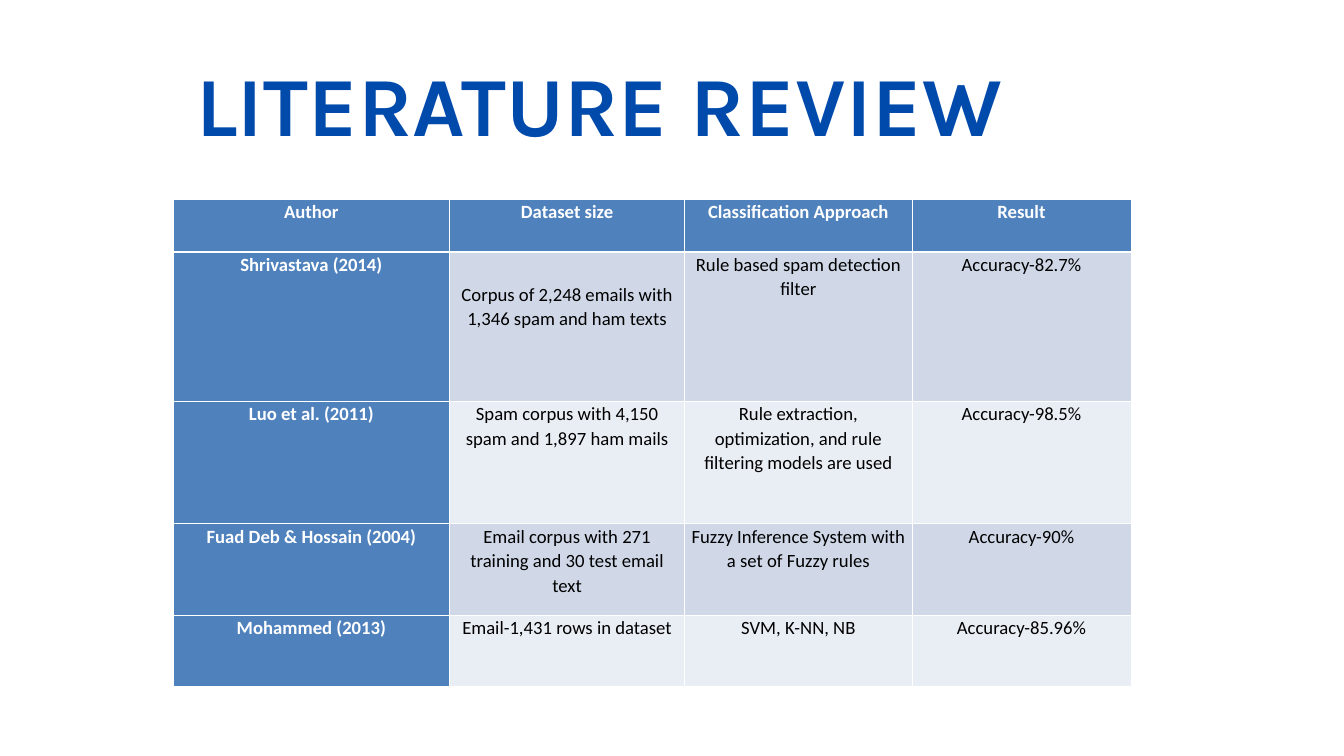
import pptx
import pptx.util
import pptx.dml.color
import pptx.enum.text
import lxml.etree
from dataclasses import dataclass
from pptx.oxml.ns import qn


@dataclass(frozen=True)
class Theme:
    title_font: str = "Karla"
    body_font: str = "Calibri"
    title_size: int = 90
    body_size: int = 20
    title: str = "004AAC"
    header: str = "4F81BD"
    odd_row: str = "D0D8E8"
    even_row: str = "E9EDF4"
    white: str = "FFFFFF"
    black: str = "000000"


theme = Theme()
Cm = pptx.util.Cm
Pt = pptx.util.Pt


def format_font(font, name, size, color, bold):
    font.name = name
    font.size = Pt(size)
    font.bold = bold
    font.color.rgb = pptx.dml.color.RGBColor.from_string(color)


def add_border(cell, side, width):
    properties = cell._tc.get_or_add_tcPr()
    line = lxml.etree.SubElement(properties, qn(f"a:ln{side}"), w=str(Pt(width)))
    fill = lxml.etree.SubElement(line, qn("a:solidFill"))
    lxml.etree.SubElement(fill, qn("a:srgbClr"), val=theme.white)


presentation = pptx.Presentation()
presentation.slide_width = Cm(50.8)
presentation.slide_height = Cm(28.58)
slide = presentation.slides.add_slide(presentation.slide_layouts[5])

title = slide.shapes.title
title.left, title.top, title.width, title.height = Cm(7.42), Cm(1.96), Cm(34.54), Cm(3.89)
frame = title.text_frame
frame.margin_left = frame.margin_right = frame.margin_bottom = 0
frame.margin_top = Cm(0.03)
frame.word_wrap = True
frame.vertical_anchor = pptx.enum.text.MSO_ANCHOR.TOP
frame.auto_size = pptx.enum.text.MSO_AUTO_SIZE.SHAPE_TO_FIT_TEXT
paragraph = frame.paragraphs[0]
paragraph.alignment = pptx.enum.text.PP_ALIGN.LEFT
format_font(paragraph.font, theme.title_font, theme.title_size, theme.title, True)
for text, spacing in (("LITERATURE ", 30), ("REVIEW", 80)):
    run = paragraph.add_run()
    run.text = text
    run._r.get_or_add_rPr().set("spc", str(spacing))

studies = [
    ("Author", "Dataset size", "Classification Approach", "Result"),
    ("Shrivastava (2014)", "Corpus of 2,248 emails with 1,346 spam and ham texts",
     "Rule based spam detection ﬁlter", "Accuracy-82.7%"),
    ("Luo et al. (2011)", "Spam corpus with 4,150 spam and 1,897 ham mails",
     "Rule extraction, optimization, and rule ﬁltering models are used", "Accuracy-98.5%"),
    ("Fuad Deb & Hossain (2004)", "Email corpus with 271 training and 30 test email text",
     "Fuzzy Inference System with a set of Fuzzy rules", "Accuracy-90%"),
    ("Mohammed (2013)", "Email-1,431 rows in dataset", "SVM, K-NN, NB", "Accuracy-85.96%"),
]
column_widths = [10.44, 8.89, 8.59, 8.28]
row_heights = [2.0, 5.66, 4.62, 3.45, 2.69]

table = slide.shapes.add_table(
    len(row_heights), len(column_widths), Cm(6.55), Cm(7.52),
    Cm(sum(column_widths)), Cm(sum(row_heights))).table
table.first_col = True
for column, width in zip(table.columns, column_widths):
    column.width = Cm(width)
for row, height in zip(table.rows, row_heights):
    row.height = Cm(height)

for row_index, study in enumerate(studies):
    for column_index, text in enumerate(study):
        cell = table.cell(row_index, column_index)
        heading = row_index == 0 or column_index == 0
        for side in "LRTB":
            under_header = (row_index, side) in ((0, "B"), (1, "T"))
            add_border(cell, side, 3 if under_header else 1)
        band = theme.odd_row if row_index % 2 else theme.even_row
        cell.fill.solid()
        cell.fill.fore_color.rgb = pptx.dml.color.RGBColor.from_string(
            theme.header if heading else band)
        cell.margin_left = cell.margin_right = Cm(0.18)
        cell.margin_top = cell.margin_bottom = 0
        cell.text = text
        paragraph = cell.text_frame.paragraphs[0]
        paragraph.alignment = pptx.enum.text.PP_ALIGN.CENTER
        paragraph.line_spacing = 1.07
        paragraph.space_after = Pt(8)
        format_font(paragraph.font, theme.body_font, theme.body_size,
                    theme.white if heading else theme.black, heading)
table.cell(1, 1).margin_top = Cm(1.14)

presentation.save("out.pptx")
